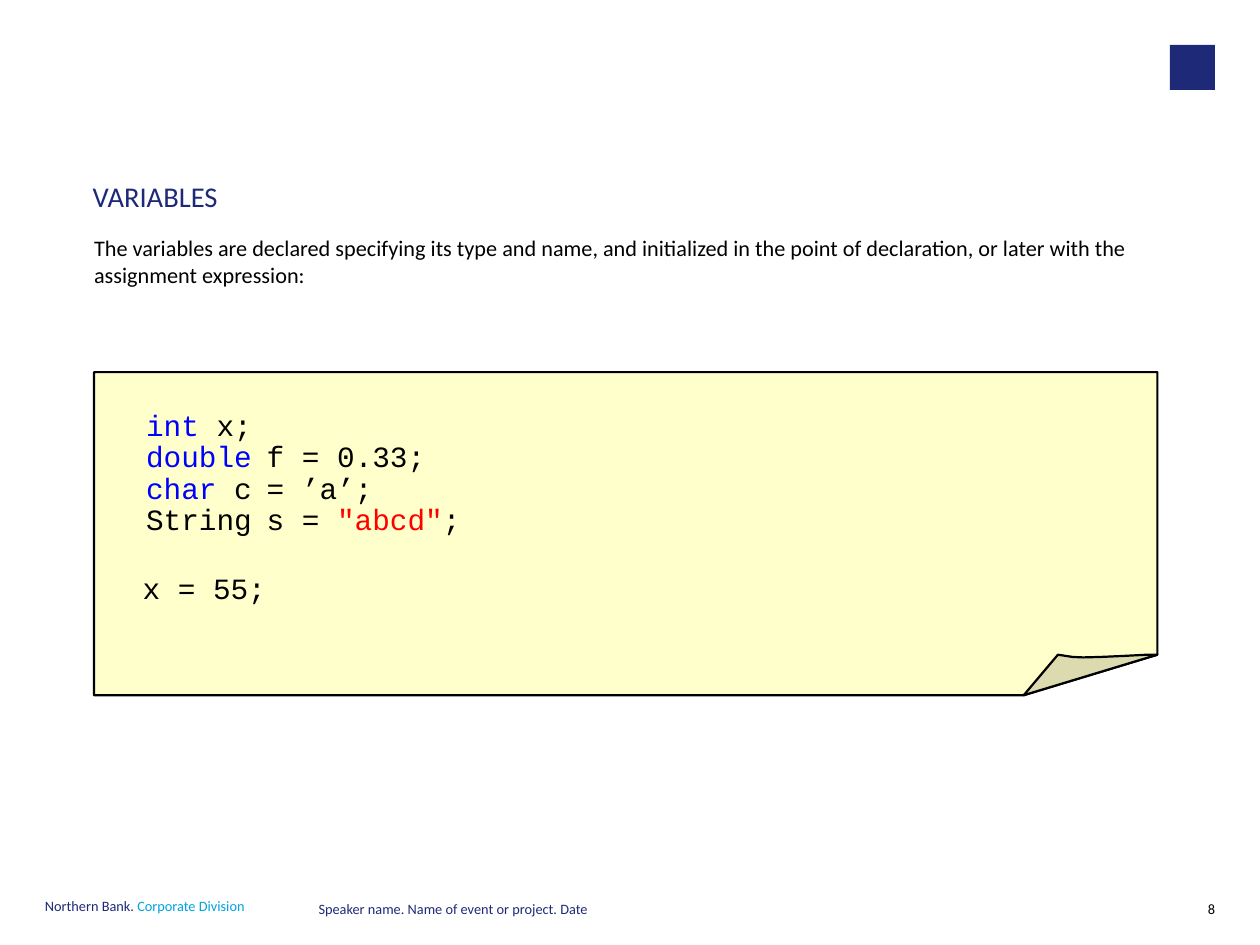
import lxml.etree
import pptx
import pptx.dml.color
import pptx.enum.shapes
import pptx.enum.text
import pptx.oxml.ns
import pptx.util

Cm = pptx.util.Cm
Pt = pptx.util.Pt
ALIGN = pptx.enum.text.PP_ALIGN
ANCHOR = pptx.enum.text.MSO_ANCHOR

COLOURS = {
    "navy": "1E2A78",
    "cyan": "00A3E0",
    "black": "000000",
    "note": "FFFFCC",
    "curl": "DBDBAF",
    "keyword": "0000FF",
    "string": "FF0000",
}
NO_GRID_STYLE = "{2D5ABB26-0587-4C30-8999-92F81FD0307C}"
CODE_COLUMNS = (2.62, 0.78, 3.79)
CODE_ROW = 0.7
CODE_LINES = [
    [[("int ", "keyword"), ("x;", "black")], [], []],
    [[("double", "keyword")], [("f", "black")], [("= 0.33;", "black")]],
    [[("char ", "keyword"), ("c", "black")], [("=", "black")], [("’a’;", "black")]],
    [[("String", "black")], [("s", "black")],
     [("= ", "black"), ('"abcd"', "string"), (";", "black")]],
]
# Upper edge of the page curl: distance left of the note's right side, and down
CURL_EDGE = [(0.23, 0), (0.79, 0.03), (1.27, 0.05), (1.65, 0.06), (1.88, 0.05), (2.21, 0)]
FOLD_WIDTH, FOLD_HEIGHT = 2.97, 0.9


def rgb(name):
    return pptx.dml.color.RGBColor.from_string(COLOURS[name])


def write(paragraph, pieces, size, font="Calibri", spacing=None, align=ALIGN.LEFT):
    """Fill a paragraph with (text, colour name) pieces."""
    paragraph.alignment = align
    paragraph.line_spacing = spacing
    for text, colour in pieces:
        run = paragraph.add_run()
        run.text = text
        run.font.size = Pt(size)
        run.font.name = font
        run.font.color.rgb = rgb(colour)


def clear_margins(frame):
    frame.margin_left = frame.margin_right = frame.margin_top = frame.margin_bottom = 0
    frame.word_wrap = True


def add_text(slide, box, pieces, size, anchor=ANCHOR.TOP, **style):
    frame = slide.shapes.add_textbox(*map(Cm, box)).text_frame
    clear_margins(frame)
    frame.vertical_anchor = anchor
    write(frame.paragraphs[0], pieces, size, **style)


def add_outline(slide, points, fill):
    """Draw a closed, black-edged outline through points in cm."""
    corners = [(Cm(x), Cm(y)) for x, y in points]
    builder = slide.shapes.build_freeform(*corners[0])
    builder.add_line_segments(corners[1:], close=True)
    outline = builder.convert_to_shape()
    outline.shadow.inherit = False
    outline.fill.solid()
    outline.fill.fore_color.rgb = rgb(fill)
    outline.line.color.rgb = rgb("black")
    outline.line.width = Pt(1.4)


def add_heading(slide, box):
    title = slide.shapes.title
    title.left, title.top, title.width, title.height = map(Cm, box)
    frame = title.text_frame
    clear_margins(frame)
    frame.vertical_anchor = ANCHOR.TOP
    write(frame.paragraphs[0], [("VARIABLES", "navy")], 18, spacing=0.9)


def add_emblem(slide, box):
    emblem = slide.shapes.add_shape(pptx.enum.shapes.MSO_SHAPE.RECTANGLE, *map(Cm, box))
    emblem.shadow.inherit = False
    emblem.fill.solid()
    emblem.fill.fore_color.rgb = rgb("navy")
    emblem.line.fill.background()


def add_declarations(slide, left, top):
    """Lay out the declarations as a borderless table."""
    frame = slide.shapes.add_table(
        len(CODE_LINES), len(CODE_COLUMNS), Cm(left), Cm(top),
        Cm(sum(CODE_COLUMNS)), Cm(CODE_ROW * len(CODE_LINES)))
    table = frame.table
    table.first_row = table.horz_banding = False
    table._tbl.tblPr[0].text = NO_GRID_STYLE
    for column, width in zip(table.columns, CODE_COLUMNS):
        column.width = Cm(width)
    for r, line in enumerate(CODE_LINES):
        table.rows[r].height = Cm(CODE_ROW)
        for c, pieces in enumerate(line):
            cell = table.cell(r, c)
            cell.fill.background()
            cell.margin_left = Cm(0.2 if c == 2 else 0)
            cell.margin_right = cell.margin_top = cell.margin_bottom = 0
            paragraph = cell.text_frame.paragraphs[0]
            write(paragraph, pieces, 18.5, "Courier New", Pt(18.7),
                  ALIGN.LEFT if c == 2 else ALIGN.CENTER)
            if not pieces:  # keeps an empty cell from stretching its row
                lxml.etree.SubElement(
                    paragraph._p, pptx.oxml.ns.qn("a:endParaRPr"), sz="1200")
    table.cell(0, 1).merge(table.cell(0, 2))


def add_code_note(slide, box):
    left, top, width, height = box
    right, bottom = left + width, top + height
    fold = bottom - FOLD_HEIGHT
    fold_start = (right - FOLD_WIDTH, bottom)
    add_outline(slide, [(left, top), (right, top), (right, fold), fold_start,
                        (left, bottom)], "note")
    edge = [(right - x, fold + y) for x, y in CURL_EDGE]
    add_outline(slide, [(right, fold), *edge, fold_start], "curl")
    add_declarations(slide, left + 1.02, top + 0.96)
    add_text(slide, (left + 1.08, top + 4.4, 2.8, 0.8), [("x = 55;", "black")], 18.5,
             font="Courier New")


def add_footer(slide, box):
    left, top, width, height = box
    add_text(slide, (left, top, 5.56, height),
             [("Northern Bank. ", "navy"), ("Corporate Division", "cyan")], 9,
             spacing=Pt(9))
    add_text(slide, (left + 6.08, top, 13.7, height),
             [("Speaker name. Name of event or project. Date", "navy")], 9,
             anchor=ANCHOR.MIDDLE, spacing=Pt(9))
    add_text(slide, (left + width - 1, top, 1, height), [("8", "black")], 9,
             anchor=ANCHOR.MIDDLE, spacing=Pt(9), align=ALIGN.RIGHT)


def main():
    deck = pptx.Presentation()
    deck.slide_width, deck.slide_height = Cm(28), Cm(21)
    slide = deck.slides.add_slide(deck.slide_layouts[5])
    add_emblem(slide, (26, 1, 1, 1))
    add_heading(slide, (2.06, 4.06, 24.05, 0.9))
    add_text(slide, (2.09, 5.21, 23.67, 1.3),
             [("The variables are declared specifying its type and name, and initialized "
               "in the point of declaration, or later with the assignment expression:",
               "black")], 14)
    add_code_note(slide, (2.09, 8.27, 23.63, 7.18))
    add_footer(slide, (1, 20, 26, 0.46))
    deck.save("out.pptx")


if __name__ == "__main__":
    main()
